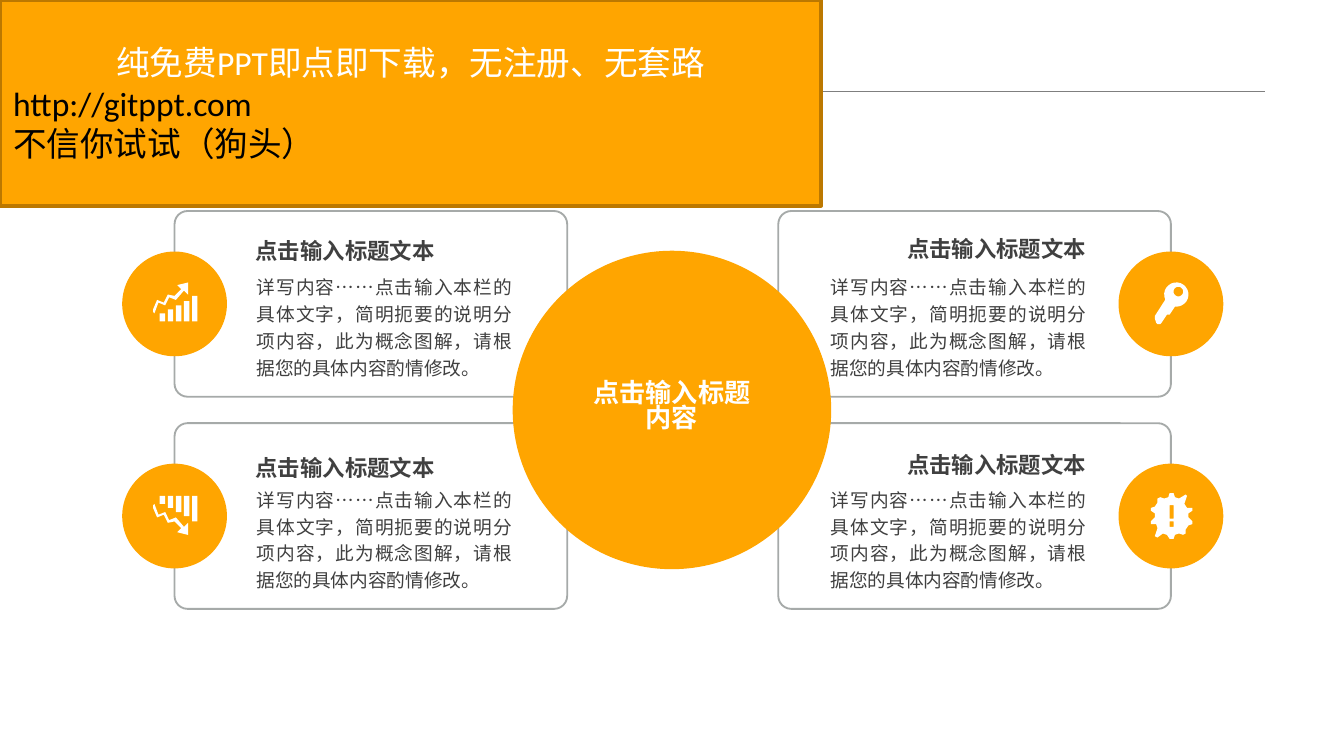
"""Build a four-card diagram around a central circle, with a banner."""
from math import cos, radians, sin

from lxml.etree import SubElement
from pptx import Presentation
from pptx.dml.color import RGBColor
from pptx.enum.shapes import MSO_CONNECTOR, MSO_SHAPE
from pptx.enum.text import MSO_ANCHOR, PP_ALIGN
from pptx.oxml.ns import qn
from pptx.util import Cm, Pt

ORANGE, WHITE, BLACK = "FFA500", "FFFFFF", "000000"
TEXT_GREY, CARD_GREY, RULE_GREY, BANNER_EDGE = "404040", "A6AAA9", "7F7F7F", "BC7800"
CHINESE_FONT = "Noto Sans CJK SC"
HEADING = "点击输入标题文本"
BODY = "详写内容……点击输入本栏的具体文字，简明扼要的说明分项内容，此为概念图解，请根据您的具体内容酌情修改。"
BANNER_LINES = [
    ("纯免费PPT即点即下载，无注册、无套路", PP_ALIGN.CENTER, WHITE),
    ("http://gitppt.com", PP_ALIGN.LEFT, BLACK),
    ("不信你试试（狗头）", PP_ALIGN.LEFT, BLACK),
]
CARD_WIDTH, CARD_HEIGHT = 7.42, 3.51
LEFT_CARD, RIGHT_CARD = 3.3, 14.71
CARD_ROWS = [(3.99, 0.28), (8.0, 0.36)]
DISC_SIZE = 1.98
ICON_UNIT = Cm(2.54) / 1000


def color(value):
    return RGBColor.from_string(value)


def block(left, top, right, bottom):
    return [(left, top), (right, top), (right, bottom), (left, bottom)]


def arc(center_x, center_y, radius, start, end):
    return [(center_x + radius * cos(radians(angle)), center_y + radius * sin(radians(angle)))
            for angle in range(start, end, -15)]


RISING_ARROW = [(-4, -5), (1, -3), (7, -10), (10, -7), (10, -16), (2, -14), (5, -11), (0, -6),
                (-5, -7), (-8, -1), (-13, -3), (-16, 4), (-16, 6), (-15, 7), (-12, -1), (-7, 1)]
BAR_TOPS = [7, 4, 1, -2, -6]
RISING = [RISING_ARROW] + [block(6 * index - 11, top, 6 * index - 7, 13)
                           for index, top in enumerate(BAR_TOPS)]
FALLING = [[(x, -2 - y) for x, y in outline] for outline in RISING]
KEY = [
    arc(4, -7, 9, 95, -206) + [(-12, 9), (-12, 11), (-11, 14), (-10, 15), (-8, 15),
                               (-7, 14), (-3, 8), (-1, 8), (3, 2)],
    arc(5.5, -9.2, 3.6, 360, 0),
]
ALERT = [
    [(16, 4), (13, 1), (13, -2), (16, -4), (16, -6), (12, -6), (10, -9), (12, -15), (11, -16),
     (6, -13), (3, -14), (2, -17), (-1, -17), (-2, -14), (-5, -13), (-8, -14), (-10, -13),
     (-10, -10), (-12, -7), (-15, -6), (-15, -4), (-12, -2), (-12, 1), (-15, 4), (-15, 6),
     (-11, 6), (-10, 9), (-12, 15), (-10, 16), (-6, 13), (-3, 14), (-1, 17), (2, 17), (3, 14),
     (6, 13), (9, 14), (11, 13), (11, 10), (13, 7), (16, 6)],
    block(-1, -8, 2, 2),
    block(-1, 4, 2, 8),
]


class SlideBuilder:
    """Hold the text and shape style and the slide being built."""

    def __init__(self, slide):
        self.slide = slide

    def paint(self, shape, fill=None, line=None, line_width=1):
        shape.shadow.inherit = False
        if fill:
            shape.fill.solid()
            shape.fill.fore_color.rgb = color(fill)
        else:
            shape.fill.background()
        if line:
            shape.line.color.rgb = color(line)
            shape.line.width = Pt(line_width)
        else:
            shape.line.fill.background()

    def shape(self, kind, left, top, width, height, **paint):
        shape = self.slide.shapes.add_shape(kind, Cm(left), Cm(top), Cm(width), Cm(height))
        self.paint(shape, **paint)
        return shape

    def card(self, left, top):
        card = self.shape(MSO_SHAPE.ROUNDED_RECTANGLE, left, top, CARD_WIDTH, CARD_HEIGHT,
                          line=CARD_GREY)
        card.adjustments[0] = 0.07

    def disc(self, center_x, center_y, size):
        self.shape(MSO_SHAPE.OVAL, center_x - size / 2, center_y - size / 2, size, size,
                   fill=ORANGE)

    def icon(self, outlines, center_x, center_y):
        builder = None
        for outline in outlines:
            points = [(x * 10, y * 10) for x, y in outline]
            if builder is None:
                builder = self.slide.shapes.build_freeform(*points[0], scale=ICON_UNIT)
            else:
                builder.move_to(*points[0])
            builder.add_line_segments(points[1:], close=True)
        self.paint(builder.convert_to_shape(Cm(center_x), Cm(center_y)), fill=WHITE)

    def rule(self, left, right, top):
        line = self.slide.shapes.add_connector(MSO_CONNECTOR.STRAIGHT, Cm(left), Cm(top),
                                               Cm(right), Cm(top))
        line.line.color.rgb = color(RULE_GREY)
        line.line.width = Pt(0.75)
        SubElement(line._element.spPr, qn("a:effectLst"))

    def style(self, paragraph, size, text_color, align, bold=False, font_name=CHINESE_FONT):
        paragraph.alignment = align
        for run in paragraph.runs:
            run.font.size = Pt(size)
            run.font.bold = bold
            run.font.name = font_name
            run.font.color.rgb = color(text_color)
            SubElement(run._r.get_or_add_rPr(), qn("a:ea"), typeface=CHINESE_FONT)

    def text(self, text, left, top, width, height, size, text_color, align,
             bold=False, spacing=1.2, anchor=MSO_ANCHOR.MIDDLE):
        box = self.slide.shapes.add_textbox(Cm(left), Cm(top), Cm(width), Cm(height))
        frame = box.text_frame
        frame.word_wrap = True
        frame.vertical_anchor = anchor
        frame.margin_left = frame.margin_right = frame.margin_top = frame.margin_bottom = 0
        frame.text = text
        frame.paragraphs[0].line_spacing = spacing
        self.style(frame.paragraphs[0], size, text_color, align, bold)

    def banner(self, width, height):
        banner = self.shape(MSO_SHAPE.RECTANGLE, 0, 0, width, height,
                            fill=ORANGE, line=BANNER_EDGE, line_width=2)
        frame = banner.text_frame
        frame.word_wrap = True
        frame.vertical_anchor = MSO_ANCHOR.MIDDLE
        frame.text = "\n".join(text for text, _, _ in BANNER_LINES)
        for paragraph, (_, align, text_color) in zip(frame.paragraphs, BANNER_LINES):
            self.style(paragraph, 18, text_color, align, font_name="Calibri")


def main():
    presentation = Presentation()
    presentation.slide_width, presentation.slide_height = Cm(25.4), Cm(14.29)
    builder = SlideBuilder(presentation.slides.add_slide(presentation.slide_layouts[6]))
    builder.rule(2.11, 23.9, 1.73)
    columns = [
        (LEFT_CARD, LEFT_CARD, 4.85, 4.83, PP_ALIGN.LEFT, 1.2, [RISING, FALLING]),
        (RIGHT_CARD, RIGHT_CARD + CARD_WIDTH, 15.7, 16.64, PP_ALIGN.RIGHT, 1.0, [KEY, ALERT]),
    ]
    for card_left, *_ in columns:
        for top, _ in CARD_ROWS:
            builder.card(card_left, top)
    builder.disc(12.7, 7.75, 6.02)
    for _, disc_x, body_left, heading_left, align, spacing, icons in columns:
        for (top, heading_offset), icon in zip(CARD_ROWS, icons):
            center_y = top + CARD_HEIGHT / 2
            builder.text(BODY, body_left, top + 1.15, 4.83, 1.05, 10, TEXT_GREY,
                         PP_ALIGN.JUSTIFY, anchor=MSO_ANCHOR.TOP)
            builder.text(HEADING, heading_left, top + heading_offset, 3.89, 0.84, 12, TEXT_GREY,
                         align, bold=True, spacing=spacing)
            builder.disc(disc_x, center_y, DISC_SIZE)
            builder.icon(icon, disc_x, center_y)
    builder.text("点击输入标题内容", 11.1, 7.04, 3.2, 1.32, 14, WHITE, PP_ALIGN.CENTER,
                 bold=True, spacing=0.8)
    builder.banner(15.52, 3.89)
    presentation.save("out.pptx")


if __name__ == "__main__":
    main()
